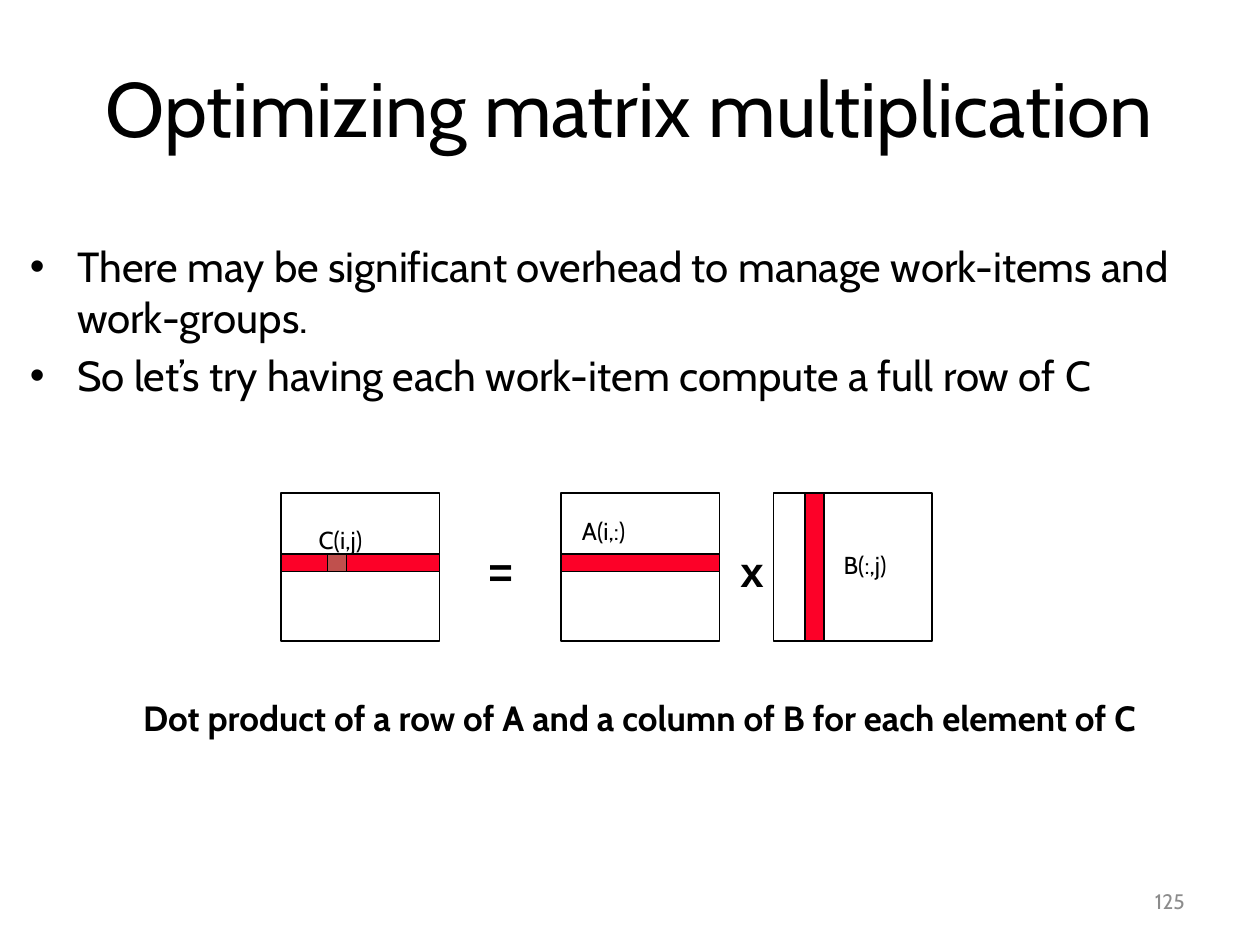
from lxml.etree import SubElement
from pptx import Presentation
from pptx.dml.color import RGBColor
from pptx.enum.shapes import MSO_SHAPE
from pptx.enum.text import MSO_ANCHOR, PP_ALIGN
from pptx.oxml.ns import qn
from pptx.util import Pt

BLACK = RGBColor(0x00, 0x00, 0x00)
GRAY = RGBColor(0x8C, 0x8C, 0x8C)
RED = RGBColor(0xFC, 0x01, 0x28)
BRICK = RGBColor(0xC0, 0x50, 0x4D)

MATRIX_WIDTH, MATRIX_HEIGHT = 90.7, 85
MATRIX_TOP = 281.5
C_LEFT, A_LEFT, B_LEFT = 160.5, 320.5, 442
BAND_HEIGHT, BAND_WIDTH = 10.1, 10.8
ROW_TOP = 316.5


class SlideBuilder:
    """Holds the text style and the slide being filled."""

    font_name = "Cabin"

    def __init__(self, slide):
        self.slide = slide

    def text(self, lines, left, top, width, height, size, color=BLACK,
             bold=False, font=font_name, align=PP_ALIGN.LEFT,
             anchor=MSO_ANCHOR.TOP, wrap=True):
        shape = self.slide.shapes.add_textbox(
            Pt(left), Pt(top), Pt(width), Pt(height))
        frame = shape.text_frame
        frame.text = "\n".join(lines)
        frame.word_wrap = wrap
        frame.vertical_anchor = anchor
        for paragraph in frame.paragraphs:
            paragraph.alignment = align
            for run in paragraph.runs:
                run.font.name = font
                run.font.size = Pt(size)
                run.font.bold = bold
                run.font.color.rgb = color
        return shape

    def bullets(self, lines, left, top, width, height, size):
        shape = self.text(lines, left, top, width, height, size)
        for index, paragraph in enumerate(shape.text_frame.paragraphs):
            if index:
                paragraph.space_before = Pt(size * 0.2)
            properties = paragraph._p.get_or_add_pPr()
            properties.set("marL", str(Pt(27)))
            properties.set("indent", str(Pt(-27)))
            SubElement(properties, qn("a:buFont"), typeface="Arial")
            SubElement(properties, qn("a:buChar"), char="•")

    def label(self, text, left, top):
        self.text([text], left, top, 53.3, 24.5, 14)

    def operator(self, text, left, width):
        self.text([text], left, 308, width, 36, 24, bold=True,
                  font="Arial", wrap=False)

    def rectangle(self, left, top, width, height, fill=None):
        shape = self.slide.shapes.add_shape(
            MSO_SHAPE.RECTANGLE, Pt(left), Pt(top), Pt(width), Pt(height))
        shape.shadow.inherit = False
        shape.line.color.rgb = BLACK
        shape.line.width = Pt(1)
        if fill is None:
            shape.fill.background()
        else:
            shape.fill.solid()
            shape.fill.fore_color.rgb = fill

    def matrix(self, left):
        self.rectangle(left, MATRIX_TOP, MATRIX_WIDTH, MATRIX_HEIGHT)

    def row(self, left):
        self.rectangle(left, ROW_TOP, MATRIX_WIDTH, BAND_HEIGHT, RED)


def main():
    presentation = Presentation()
    presentation.slide_width = Pt(720)
    presentation.slide_height = Pt(540)
    builder = SlideBuilder(
        presentation.slides.add_slide(presentation.slide_layouts[6]))

    # Title and bullets
    builder.text(["Optimizing matrix multiplication"], 8.6, 15.8, 702.7, 90,
                 44, align=PP_ALIGN.CENTER, anchor=MSO_ANCHOR.MIDDLE)
    builder.bullets(
        ["There may be significant overhead to manage work-items and "
         "work-groups.",
         "So let’s try having each work-item compute a full row of C"],
        10, 134, 692, 170, 24)

    # Matrix A with one row
    builder.matrix(A_LEFT)
    builder.row(A_LEFT)
    builder.label("A(i,:)", 325.5, 291.5)

    # Matrix B with one column
    builder.matrix(B_LEFT)
    builder.rectangle(B_LEFT + 18, MATRIX_TOP, BAND_WIDTH, MATRIX_HEIGHT, RED)
    builder.label("B(:,j)", 475, 311)

    # Matrix C with one row and one element
    builder.matrix(C_LEFT)
    builder.label("C(i,j)", 175, 296.5)
    builder.row(C_LEFT)
    builder.rectangle(C_LEFT + 26.7, ROW_TOP, BAND_WIDTH, BAND_HEIGHT, BRICK)

    # Operators between the matrices
    builder.operator("=", 272, 42.5)
    builder.operator("x", 416, 27)

    # Caption and slide number
    builder.text(
        ["Dot product of a row of A and a column of B for each element of C"],
        48, 394.5, 635, 31, 20, bold=True, align=PP_ALIGN.CENTER)
    builder.text(["125"], 516, 500.5, 168, 28.8, 12, color=GRAY,
                 align=PP_ALIGN.RIGHT, anchor=MSO_ANCHOR.MIDDLE)

    presentation.save("out.pptx")


if __name__ == "__main__":
    main()
